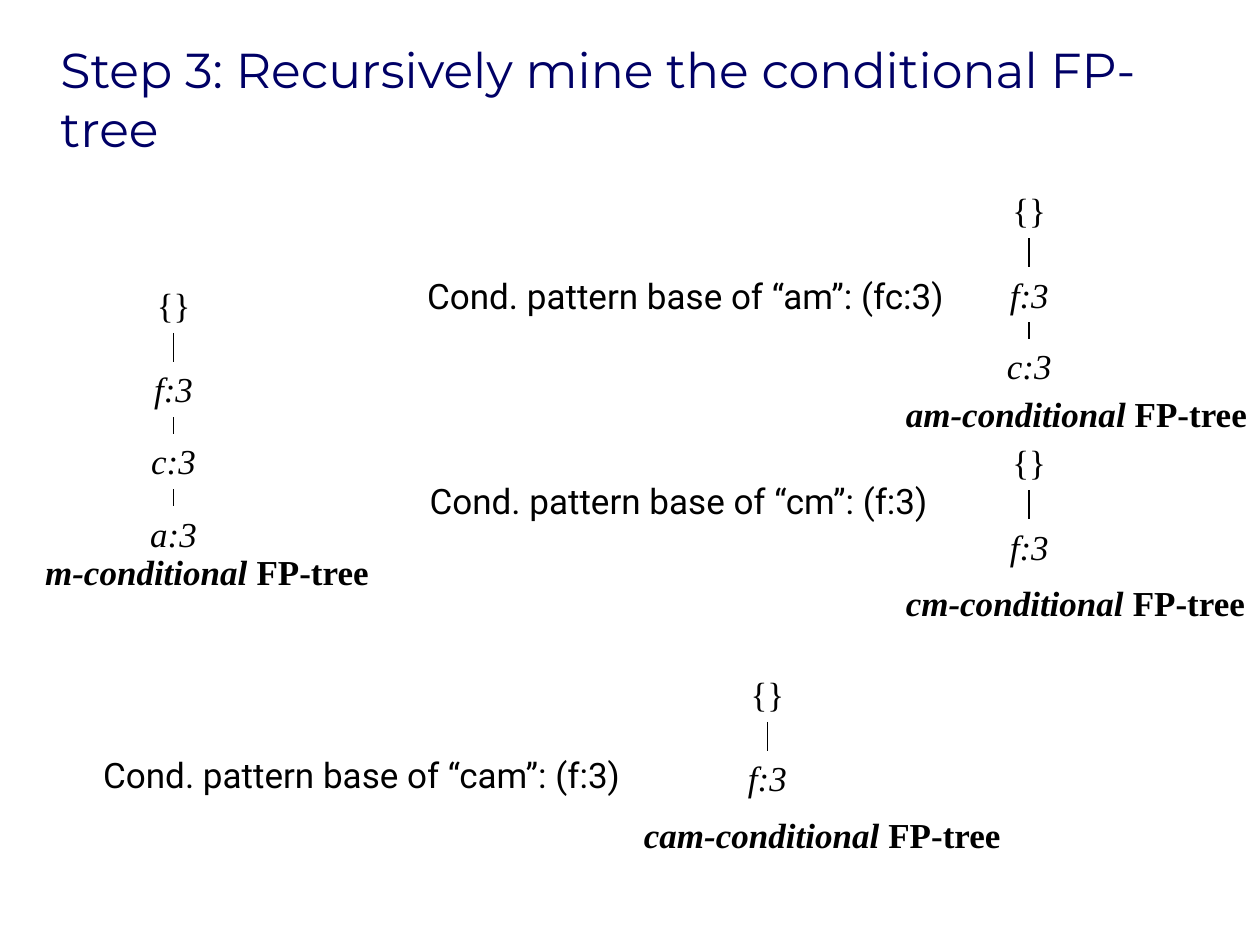
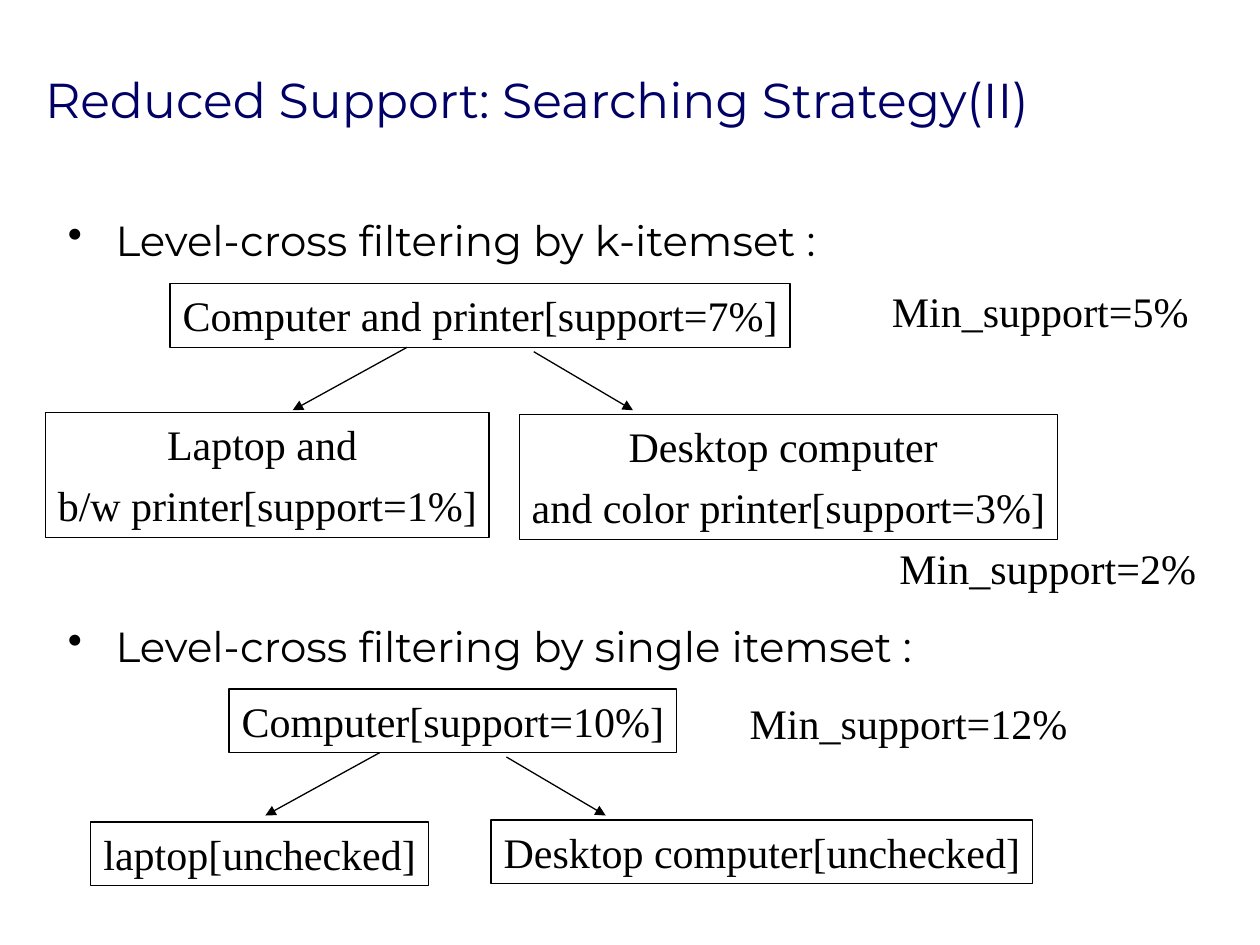
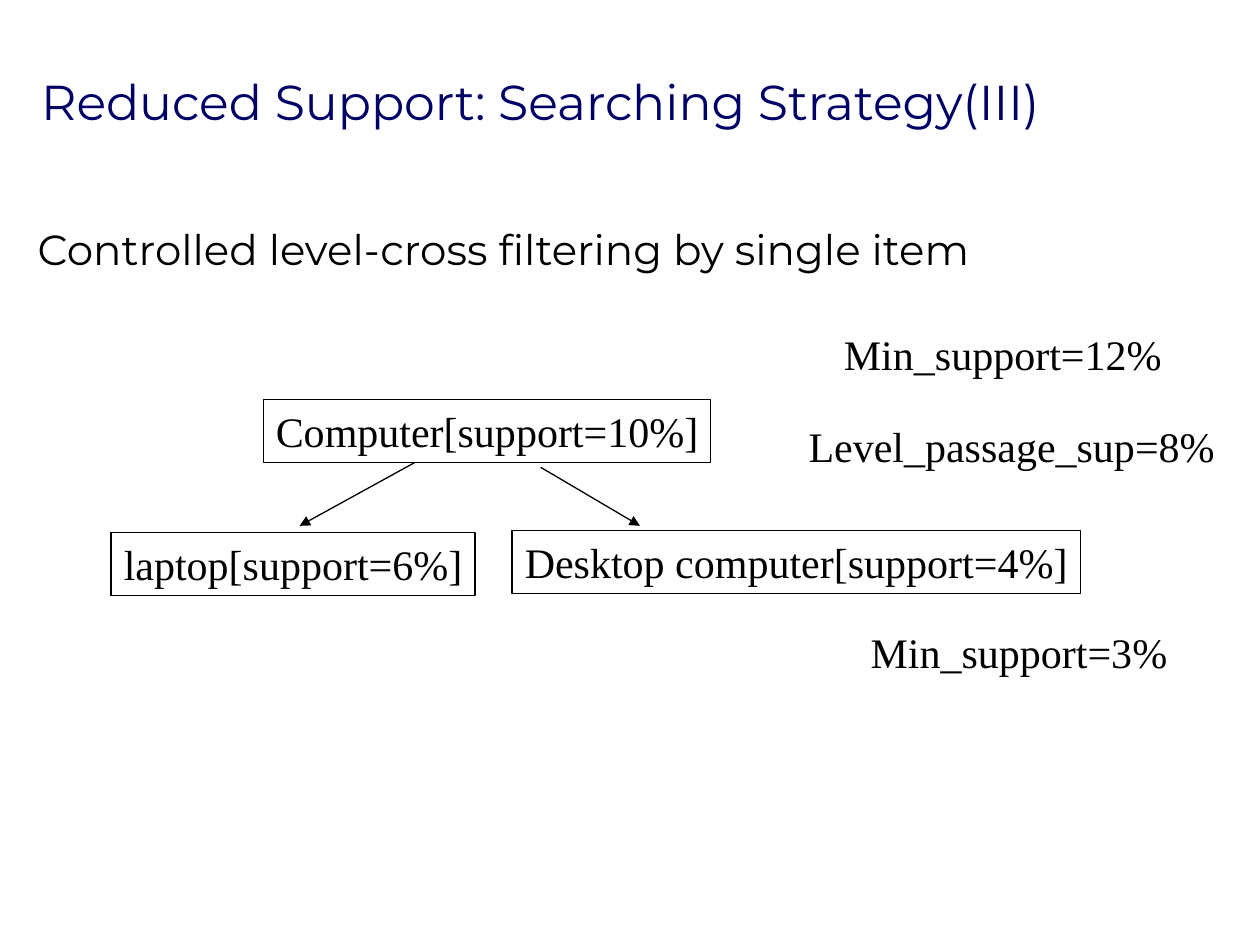
import pptx
import pptx.util
import pptx.dml.color
import pptx.enum.shapes
import pptx.enum.text
import pptx.oxml.ns
from lxml import etree

Cm = pptx.util.Cm
Pt = pptx.util.Pt
ALIGN = pptx.enum.text.PP_ALIGN
ANCHOR = pptx.enum.text.MSO_ANCHOR
NAVY = "000066"
BLACK = "000000"
HEAD = "Montserrat"
NOTE = "Roboto"
SERIF = "Times New Roman"
ROW = 1.12
NODE = 2
BOX = 1.28
DROPS = (0, 1.7, 3.15, 4.62)


def color(code):
    """Turn a hex string into a colour."""
    return pptx.dml.color.RGBColor.from_string(code)


def write(slide, text, left, top, width, height, font=SERIF, size=24, ink=BLACK,
          align=ALIGN.LEFT, anchor=ANCHOR.TOP, wrap=False,
          slant=False, bold=False, tail="", edge=False):
    """Write lines of text in a plain or framed box, with an upright tail."""
    place = Cm(left), Cm(top), Cm(width), Cm(height)
    if edge:
        shape = slide.shapes.add_shape(pptx.enum.shapes.MSO_SHAPE.RECTANGLE, *place)
        shape.shadow.inherit = False
        shape.fill.background()
        shape.line.color.rgb = color(BLACK)
        shape.line.width = Pt(0.75)
    else:
        shape = slide.shapes.add_textbox(*place)
    frame = shape.text_frame
    frame.word_wrap = wrap
    frame.vertical_anchor = anchor
    for row, line in enumerate(text.split("\n")):
        para = frame.add_paragraph() if row else frame.paragraphs[0]
        para.alignment = align
        para.line_spacing = 1
        para.space_before = Pt(6 if row else 0)
        for part, lean in ((line, slant), (tail, False)):
            if part:
                run = para.add_run()
                run.text = part
                run.font.name = font
                run.font.size = Pt(size)
                run.font.color.rgb = color(ink)
                run.font.italic = lean
                run.font.bold = bold
    return shape


def link(slide, start, end, width=0.75, arrow=False):
    """Draw a straight line, with an arrowhead if asked."""
    line = slide.shapes.add_connector(
        pptx.enum.shapes.MSO_CONNECTOR.STRAIGHT, *map(Cm, start + end))
    line.line.color.rgb = color(BLACK)
    line.line.width = Pt(width)
    qn = pptx.oxml.ns.qn
    if arrow:
        etree.SubElement(line.line._get_or_add_ln(), qn("a:tailEnd"), type="triangle")
    etree.SubElement(line._element.spPr, qn("a:effectLst"))


def title(slide, text, left, top, width, height):
    """Place the slide title."""
    write(slide, text, left, top, width, height, font=HEAD, size=28, ink=NAVY,
          anchor=ANCHOR.BOTTOM, wrap=True)


def point(slide, text, left, top, bullet=False):
    """Place one body line, with a hanging bullet if asked."""
    shape = write(slide, text, left, top, 23.9, 1.3, font=HEAD, wrap=True)
    if bullet:
        props = shape.text_frame.paragraphs[0]._p.get_or_add_pPr()
        props.set("marL", str(Cm(0.96)))
        props.set("indent", str(-Cm(0.96)))
        etree.SubElement(props, pptx.oxml.ns.qn("a:buChar"), char="•")


def tree(slide, name, nodes, axis, top, shift, width):
    """Stack nodes on an axis, join them and name the tree below."""
    for node, drop in zip(nodes, DROPS):
        write(slide, node, axis - NODE / 2, top + drop, NODE, ROW, size=20,
              align=ALIGN.CENTER, slant=node != "{}")
    for upper, lower in zip(DROPS, DROPS[1:len(nodes)]):
        link(slide, (axis, top + upper + ROW), (axis, top + lower), width=1)
    write(slide, name + "-conditional ", axis - shift,
          top + 2.84 + 1.27 * (len(nodes) - 2), width, ROW, size=20,
          slant=True, bold=True, tail="FP-tree")


def fork(slide, root, left, top, width, kids):
    """Draw a framed root with arrows to two framed children."""
    mid, base = left + width / 2, top + BOX
    write(slide, root, left, top, width, BOX, align=ALIGN.CENTER, edge=True)
    link(slide, (mid - 1.47, base), (mid - 3.78, base + 1.27), arrow=True)
    link(slide, (mid + 1.08, base + 0.09), (mid + 3.08, base + 1.27), arrow=True)
    for text, shift, drop, span in kids:
        high = BOX + 1.24 * text.count("\n")
        write(slide, text, mid + shift, base + drop, span, high,
              align=ALIGN.CENTER, edge=True)


def label(slide, text, left, top, width):
    """Place a threshold beside a fork."""
    write(slide, text, left, top, width, BOX, align=ALIGN.CENTER)


def mining(slide):
    """Build the slide on conditional trees."""
    title(slide, "Step 3: Recursively mine the conditional FP-tree", 0.97, 0.56, 23.6, 2.74)
    for name, base, left, top, width in (
            ("am", "fc:3", 8.36, 5.41, 11.43),
            ("cm", "f:3", 8.41, 9.55, 11.02),
            ("cam", "f:3", 1.83, 15.06, 11.43)):
        write(slide, f"Cond. pattern base of “{name}”: ({base})", left, top, width, ROW,
              font=NOTE, size=20)
    nodes = ("{}", "f:3", "c:3", "a:3")
    for name, count, axis, top, shift, width in (
            ("m", 4, 3.5, 5.59, 2.84, 7.04),
            ("am", 3, 20.75, 3.68, 2.74, 7.39),
            ("cm", 2, 20.75, 8.76, 2.74, 7.37),
            ("cam", 2, 15.47, 13.43, 2.74, 7.7)):
        tree(slide, name, nodes[:count], axis, top, shift, width)


def cross(slide):
    """Build the slide on level-cross filtering."""
    title(slide, "Reduced Support: Searching Strategy(II)", 0.66, 1.25, 24.74, 1.47)
    point(slide, "Level-cross filtering by k-itemset :", 1.12, 4.2, bullet=True)
    fork(slide, "Computer and printer[support=7%]", 3.43, 5.72, 12.5, (
        ("Laptop and \nb/w printer[support=1%]", -8.76, 1.32, 8.94),
        ("Desktop computer \nand color printer[support=3%]", 0.79, 1.36, 10.85)))
    label(slide, "Min_support=5%", 17.73, 5.64, 6.48)
    label(slide, "Min_support=2%", 17.88, 10.82, 6.48)
    point(slide, "Level-cross filtering by single itemset :", 1.12, 12.38, bullet=True)
    fork(slide, "Computer[support=10%]", 4.62, 13.89, 9.02, (
        ("laptop[unchecked]", -7.3, 1.4, 6.81),
        ("Desktop computer[unchecked]", 0.77, 1.36, 10.92)))
    label(slide, "Min_support=12%", 14.86, 13.94, 6.91)


def control(slide):
    """Build the slide on controlled filtering."""
    title(slide, "Reduced Support: Searching Strategy(III)", 0.58, 1.25, 24.13, 1.5)
    point(slide, "Controlled level-cross filtering by single item", 0.51, 4.38)
    fork(slide, "Computer[support=10%]", 5.31, 8.05, 9.02, (
        ("laptop[support=6%]", -7.58, 1.4, 7.34),
        ("Desktop computer[support=4%]", 0.5, 1.36, 11.46)))
    label(slide, "Min_support=12%", 16.76, 6.5, 6.91)
    label(slide, "Level_passage_sup=8%", 15.95, 8.36, 8.89)
    label(slide, "Min_support=3%", 17.3, 12.5, 6.48)


def main():
    """Build and save the deck."""
    deck = pptx.Presentation()
    deck.slide_width, deck.slide_height = Cm(25.4), Cm(19.05)
    for build in (mining, cross, control):
        build(deck.slides.add_slide(deck.slide_layouts[6]))
    deck.save("out.pptx")


if __name__ == "__main__":
    main()
